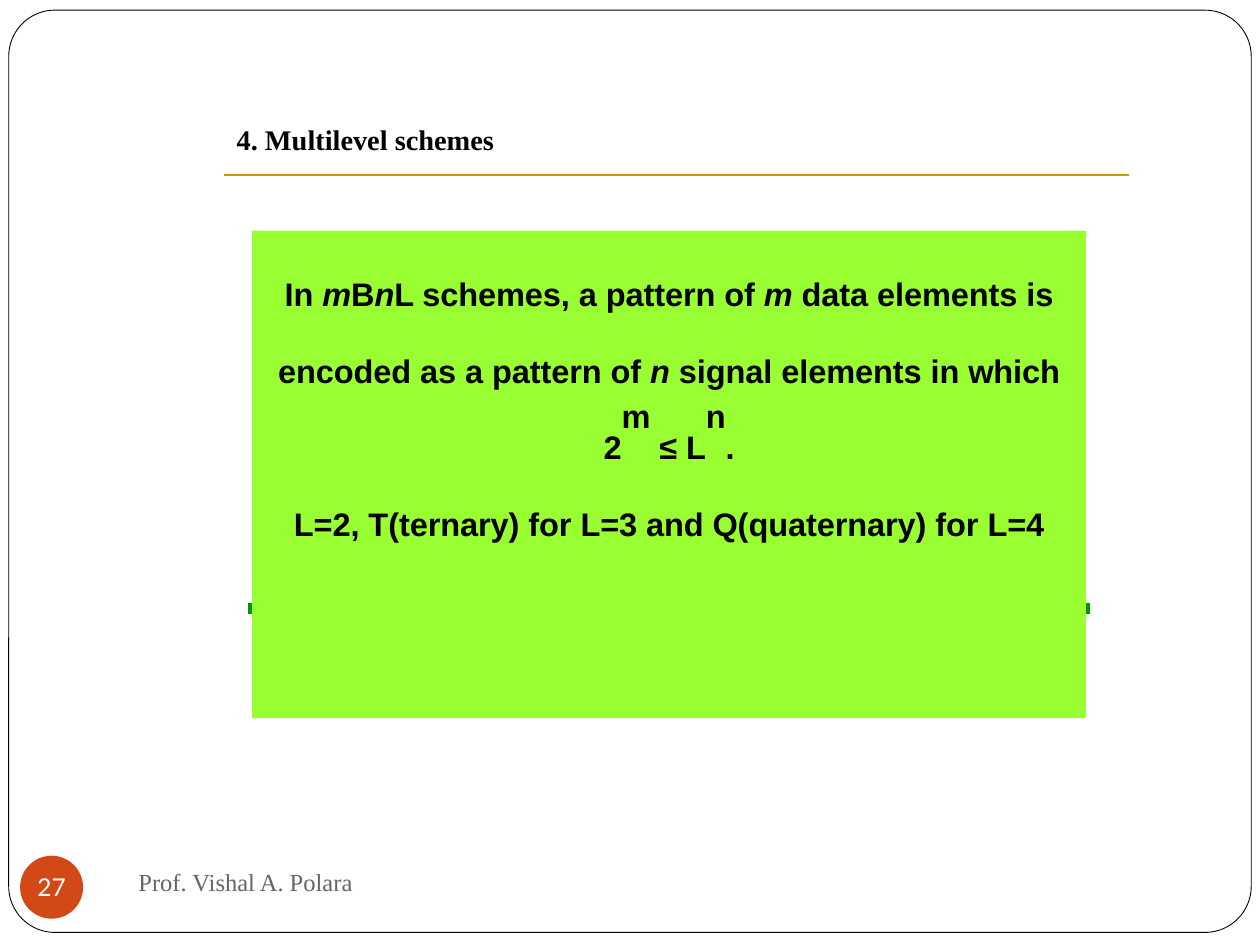
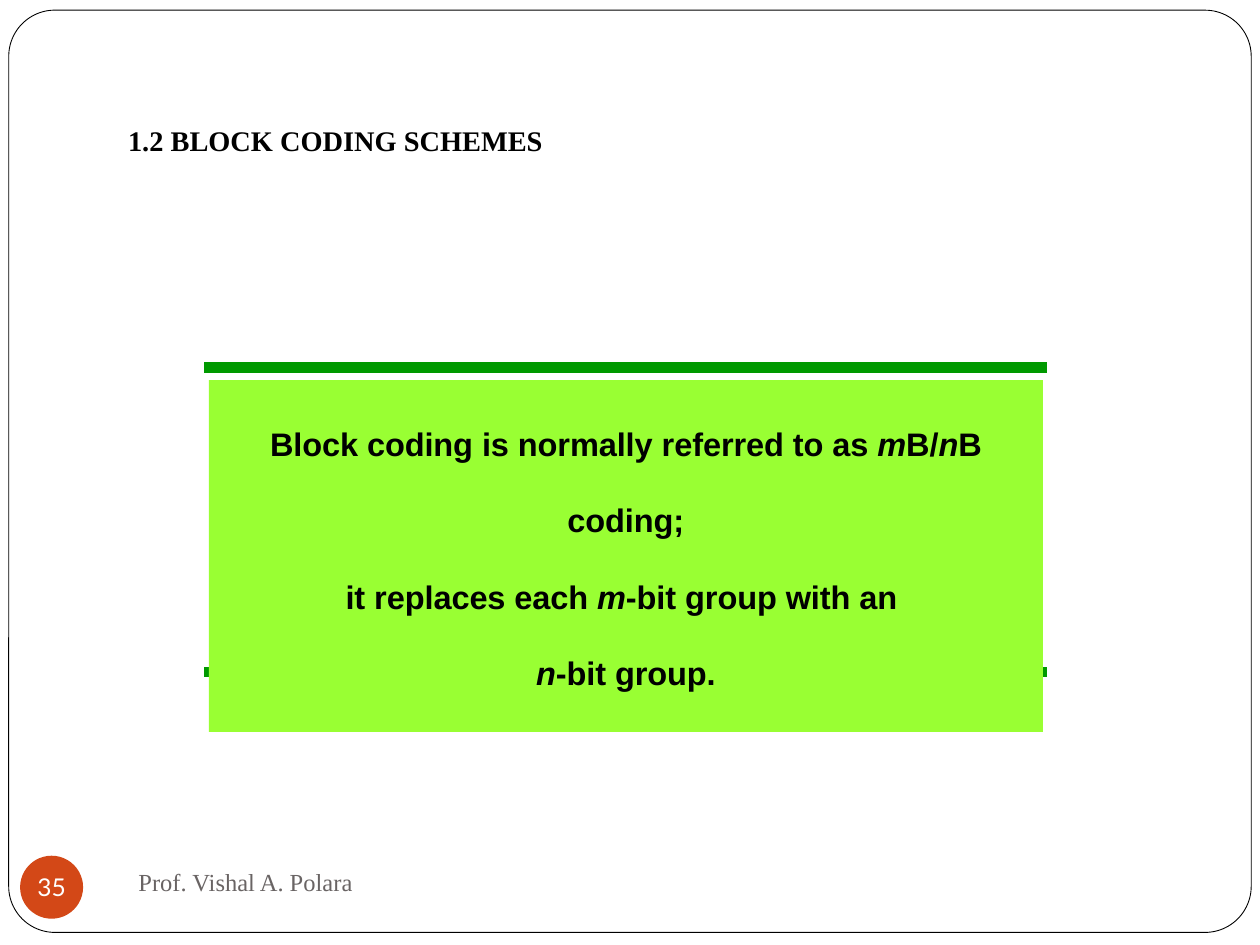
from lxml import etree
from pptx import Presentation
from pptx.dml.color import RGBColor
from pptx.enum.shapes import MSO_CONNECTOR, MSO_SHAPE
from pptx.enum.text import MSO_ANCHOR, MSO_AUTO_SIZE, PP_ALIGN
from pptx.oxml.ns import qn
from pptx.util import Pt

BLACK = RGBColor(0x00, 0x00, 0x00)
WHITE = RGBColor(0xFF, 0xFF, 0xFF)
LIME = RGBColor(0x99, 0xFF, 0x33)
GREEN = RGBColor(0x00, 0x99, 0x00)
GOLD = RGBColor(0xCC, 0x99, 0x00)
ORANGE = RGBColor(0xD3, 0x48, 0x17)
GREY = RGBColor(0x69, 0x64, 0x64)

SERIF, SANS, NUMBER = "Times New Roman", "Arial", "Lato"
LOWERED, RAISED = -25000, 30000
NOTE_WIDTH, RULE_OVERHANG = 476.6, 2.5
TITLE_ONLY = 5

PLAIN, ITALIC, SUPER = "plain", "italic", "super"
BREAK = "\v"


class SlideBuilder:
    def __init__(self):
        self.deck = Presentation()
        self.deck.slide_width, self.deck.slide_height = Pt(720), Pt(540)
        self.slide = None

    def start(self, number):
        """Add a slide with the frame, number badge and footer all slides share."""
        layout = self.deck.slide_layouts[TITLE_ONLY]
        self.slide = self.deck.slides.add_slide(layout)
        frame = self.shape(MSO_SHAPE.ROUNDED_RECTANGLE, 5, 5.8, 710, 527, WHITE)
        frame.adjustments[0] = 0.05
        frame.line.color.rgb = BLACK
        frame.line.width = Pt(0.5)
        self.badge(number)
        self.footer("Prof. Vishal A. Polara")

    def shape(self, kind, left, top, width, height, fill):
        shape = self.slide.shapes.add_shape(
            kind, Pt(left), Pt(top), Pt(width), Pt(height))
        shape.shadow.inherit = False
        shape.fill.solid()
        shape.fill.fore_color.rgb = fill
        shape.line.fill.background()
        return shape

    def format_span(self, span, size, name, color, bold=False, baseline=None):
        span.font.size = Pt(size)
        span.font.name = name
        span.font.color.rgb = color
        span.font.bold = bold
        if baseline is not None:
            span.font._element.set("baseline", str(baseline))

    def badge(self, number):
        circle = self.shape(MSO_SHAPE.OVAL, 11.5, 489, 36, 36, ORANGE)
        text_frame = circle.text_frame
        text_frame.margin_left = text_frame.margin_right = 0
        text_frame.margin_top = text_frame.margin_bottom = 0
        text_frame.word_wrap = False
        text_frame.vertical_anchor = MSO_ANCHOR.MIDDLE
        text_frame.text = str(number)
        para = text_frame.paragraphs[0]
        para.alignment = PP_ALIGN.CENTER
        self.format_span(para.runs[0], 14, NUMBER, WHITE)

    def footer(self, text):
        box = self.slide.shapes.add_textbox(Pt(72), Pt(486), Pt(312), Pt(36))
        box.text_frame.word_wrap = True
        box.text_frame.vertical_anchor = MSO_ANCHOR.MIDDLE
        box.text_frame.text = text
        self.format_span(box.text_frame.paragraphs[0].runs[0], 14, SERIF, GREY)

    def title(self, text, left, top, width):
        title = self.slide.shapes.title
        title.left, title.top = Pt(left), Pt(top)
        title.width, title.height = Pt(width), Pt(41)
        self.slide.shapes._spTree.append(title._element)  # above the frame
        text_frame = title.text_frame
        text_frame.word_wrap = True
        text_frame.auto_size = MSO_AUTO_SIZE.NONE
        text_frame.vertical_anchor = MSO_ANCHOR.TOP
        text_frame.text = text
        para = text_frame.paragraphs[0]
        para.alignment = PP_ALIGN.LEFT
        self.format_span(para.runs[0], 28, SERIF, BLACK, True, LOWERED)

    def rule(self, left, right, height, color, weight):
        """Draw a horizontal line at the given height on the slide."""
        line = self.slide.shapes.add_connector(
            MSO_CONNECTOR.STRAIGHT, Pt(left), Pt(height), Pt(right), Pt(height))
        line.line.color.rgb = color
        line.line.width = Pt(weight)
        etree.SubElement(line._element.spPr, qn("a:effectLst"))

    def note(self, left, top, height, rules, paragraphs):
        """Draw the lime panel over its green rules."""
        for level in rules:
            self.rule(left - RULE_OVERHANG, left + NOTE_WIDTH + RULE_OVERHANG,
                      level, GREEN, 6)
        panel = self.shape(MSO_SHAPE.RECTANGLE, left, top, NOTE_WIDTH, height, LIME)
        text_frame = panel.text_frame
        text_frame.word_wrap = True
        text_frame.vertical_anchor = MSO_ANCHOR.TOP
        for index, pieces in enumerate(paragraphs):
            para = text_frame.add_paragraph() if index else text_frame.paragraphs[0]
            para.alignment = PP_ALIGN.CENTER
            for text, style in pieces:
                if text == BREAK:
                    para.add_line_break()
                    continue
                span = para.add_run()
                span.text = text
                self.format_span(span, 32, SANS, BLACK, True,
                                 RAISED if style == SUPER else LOWERED)
                span.font.italic = style == ITALIC


def multilevel_slide(builder):
    builder.start(27)
    builder.note(144, 131.8, 278.6, [347.8], [
        [("In ", PLAIN), ("m", ITALIC), ("B", PLAIN), ("n", ITALIC),
         ("L schemes, a pattern of ", PLAIN), ("m", ITALIC),
         (" data elements is encoded as a pattern of ", PLAIN), ("n", ITALIC),
         (" signal elements in which 2", PLAIN), ("m", SUPER),
         (" ≤ L", PLAIN), ("n", SUPER), (".", PLAIN)],
        [("L=2, T(ternary) for L=3 and Q(quaternary) for L=4", PLAIN)],
    ])
    builder.rule(128, 645, 100, GOLD, 1.5)
    builder.title("4. Multilevel schemes", 128, 47.5, 271)


def block_coding_slide(builder):
    builder.start(35)
    builder.note(119.3, 217.2, 201, [210, 384], [
        [("Block coding is normally referred to as ", PLAIN), ("m", ITALIC),
         ("B/", PLAIN), ("n", ITALIC), ("B coding;", PLAIN)],
        [("it replaces each ", PLAIN), ("m", ITALIC),
         ("-bit group with an ", PLAIN), (BREAK, PLAIN),
         ("n", ITALIC), ("-bit group.", PLAIN)],
    ])
    builder.title("1.2 BLOCK CODING SCHEMES", 66, 48, 428)


def main():
    builder = SlideBuilder()
    multilevel_slide(builder)
    block_coding_slide(builder)
    builder.deck.save("out.pptx")


if __name__ == "__main__":
    main()
